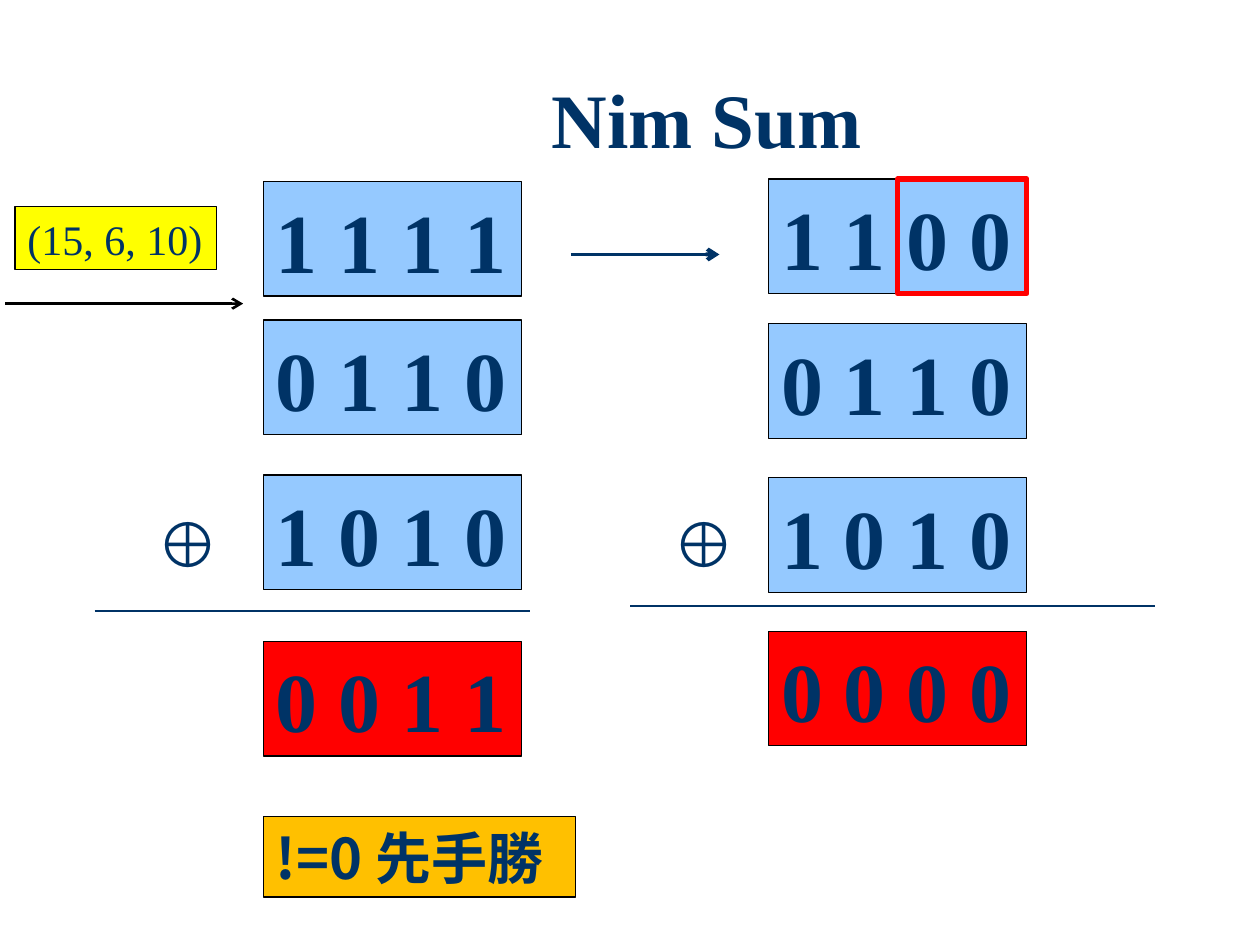
from lxml.etree import SubElement
from pptx import Presentation
from pptx.dml.color import RGBColor
from pptx.enum.shapes import MSO_CONNECTOR, MSO_SHAPE
from pptx.enum.text import MSO_ANCHOR, PP_ALIGN
from pptx.oxml.ns import qn
from pptx.util import Inches, Pt

COLORS = {
    "navy": "003366",
    "black": "000000",
    "blue": "95C9FF",
    "red": "FF0000",
    "yellow": "FFFF00",
    "gold": "FFC000",
}
SERIF = "Times New Roman"
SANS = "Noto Sans CJK SC"
BOX_WIDTH, BOX_HEIGHT = 2.05, 0.91

TITLE = "Nim Sum"
COLUMNS = [
    {
        "left": 2.09,
        "rows": [("1 1 1 1", 1.44), ("0 1 1 0", 2.54), ("1 0 1 0", 3.77)],
        "sum": ("0 0 1 1", 5.09),
        "rule": (0.75, 4.21, 4.85),
        "operator_left": 1.14,
    },
    {
        "left": 6.1,
        "rows": [("1 1 0 0", 1.42), ("0 1 1 0", 2.57), ("1 0 1 0", 3.79)],
        "sum": ("0 0 0 0", 5.01),
        "rule": (5, 9.17, 4.81),
        "operator_left": 5.24,
    },
]
ARROWS = [
    (0.04, 1.93, 2.41, "black", 1.5),
    (4.53, 5.71, 2.02, "navy", 2.25),
]


def rgb(name):
    return RGBColor.from_string(COLORS[name])


def set_text(shape, text, size, bold=True, font=SERIF, anchor=MSO_ANCHOR.BOTTOM):
    frame = shape.text_frame
    frame.text = text
    frame.word_wrap = False
    frame.vertical_anchor = anchor
    paragraph = frame.paragraphs[0]
    paragraph.alignment = PP_ALIGN.LEFT
    paragraph.font.name = font
    paragraph.font.size = Pt(size)
    paragraph.font.bold = bold
    paragraph.font.color.rgb = rgb("navy")
    if font == SANS:
        run_font = paragraph.runs[0].font
        run_font.name = font
        east_asian = SubElement(run_font._element, qn("a:ea"))
        east_asian.set("typeface", font)


def add_box(slide, left, top, width, height, fill=None, line="black", weight=0.75):
    box = slide.shapes.add_shape(
        MSO_SHAPE.RECTANGLE, Inches(left), Inches(top), Inches(width), Inches(height)
    )
    box.shadow.inherit = False
    if fill:
        box.fill.solid()
        box.fill.fore_color.rgb = rgb(fill)
    else:
        box.fill.background()
    box.line.color.rgb = rgb(line)
    box.line.width = Pt(weight)
    return box


def add_line(slide, start, end, top, color, weight, arrow=False):
    connector = slide.shapes.add_connector(
        MSO_CONNECTOR.STRAIGHT, Inches(start), Inches(top), Inches(end), Inches(top)
    )
    connector.line.color.rgb = rgb(color)
    connector.line.width = Pt(weight)
    if arrow:
        SubElement(connector.line._get_or_add_ln(), qn("a:tailEnd")).set("type", "arrow")
    SubElement(connector._element.spPr, qn("a:effectLst"))


def add_column(slide, column):
    boxes = [(*row, "blue") for row in column["rows"]] + [(*column["sum"], "red")]
    for digits, top, fill in boxes:
        box = add_box(slide, column["left"], top, BOX_WIDTH, BOX_HEIGHT, fill)
        set_text(box, digits, 48)
    add_line(slide, *column["rule"], "navy", 0.75)
    operator = slide.shapes.add_textbox(
        Inches(column["operator_left"]), Inches(3.95), Inches(0.71), Inches(0.71)
    )
    set_text(operator, "⊕", 36, anchor=MSO_ANCHOR.MIDDLE)


def main():
    presentation = Presentation()
    presentation.slide_width = Inches(10)
    presentation.slide_height = Inches(7.5)
    slide = presentation.slides.add_slide(presentation.slide_layouts[5])

    title = slide.shapes.title
    title.left, title.top = Inches(1.61), Inches(0.52)
    title.width, title.height = Inches(8), Inches(0.92)
    set_text(title, TITLE, 44, anchor=MSO_ANCHOR.MIDDLE)
    title.text_frame.word_wrap = True
    title.text_frame.paragraphs[0].alignment = PP_ALIGN.CENTER
    title.text_frame.paragraphs[0].line_spacing = 0.9

    piles = add_box(slide, 0.12, 1.64, 1.6, 0.5, "yellow")
    set_text(piles, "(15, 6, 10)", 24, bold=False)

    for column in COLUMNS:
        add_column(slide, column)

    right = COLUMNS[1]
    half = BOX_WIDTH / 2
    add_box(slide, right["left"] + half, right["rows"][0][1], half, BOX_HEIGHT,
            line="red", weight=3)

    result = add_box(slide, 2.09, 6.48, 2.48, 0.64, "gold")
    set_text(result, "!=0 先手勝", 32, font=SANS, anchor=MSO_ANCHOR.MIDDLE)

    for start, end, top, color, weight in ARROWS:
        add_line(slide, start, end, top, color, weight, arrow=True)

    presentation.save("out.pptx")


if __name__ == "__main__":
    main()
